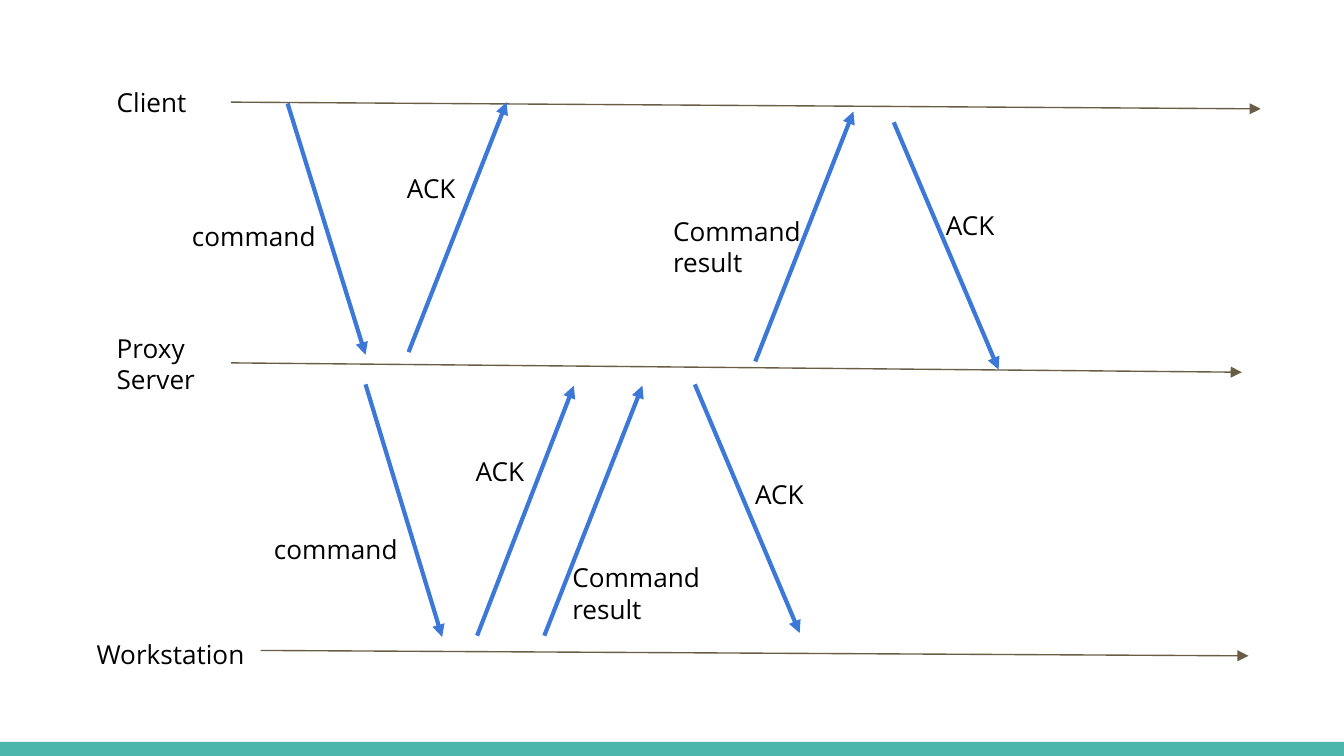
from dataclasses import dataclass

from lxml.etree import SubElement
from pptx import Presentation
from pptx.dml.color import RGBColor
from pptx.enum.shapes import MSO_CONNECTOR as Connector, MSO_SHAPE as Shape
from pptx.enum.text import MSO_ANCHOR as Anchor, MSO_AUTO_SIZE as AutoSize
from pptx.oxml.ns import qn
from pptx.util import Inches, Pt


@dataclass(frozen=True)
class Theme:
    font: str = "Open Sans"
    text_size: float = 14
    text: RGBColor = RGBColor(0x00, 0x00, 0x00)
    timeline: RGBColor = RGBColor(0x69, 0x5D, 0x46)
    timeline_width: float = 0.75
    message: RGBColor = RGBColor(0x3C, 0x78, 0xD8)
    message_width: float = 2.25
    footer: RGBColor = RGBColor(0x4D, 0xB6, 0xAC)


THEME = Theme()
SLIDE_WIDTH = 10
SLIDE_HEIGHT = SLIDE_WIDTH * 9 / 16
FOOTER_TOP = 5.52
LINE_HEIGHT, INSET = 0.23, 0.1

# Each row: text, left, top, width, number of lines shown
PARTICIPANTS = [
    ("Client", 0.77, 0.54, 0.94, 1),
    ("Proxy Server", 0.77, 2.37, 0.94, 2),
    ("Workstation", 0.62, 4.65, 1.43, 1),
]
MESSAGE_LABELS = [
    ("command", 1.33, 1.54, 1.19, 1),
    ("ACK", 2.93, 1.18, 0.94, 1),
    ("Command\nresult", 4.91, 1.5, 1.3, 2),
    ("ACK", 6.94, 1.46, 0.94, 1),
    ("command", 1.94, 3.87, 1.19, 1),
    ("ACK", 3.44, 3.29, 0.94, 1),
    ("Command\nresult", 4.16, 4.08, 1.3, 2),
    ("ACK", 5.52, 3.46, 0.94, 1),
]

# Each row: start x, start y, end x, end y
TIMELINES = [
    (1.72, 0.76, 9.38, 0.81),
    (1.72, 2.7, 9.24, 2.77),
    (1.94, 4.84, 9.29, 4.88),
]
CLIENT_PROXY_MESSAGES = [
    (2.14, 0.77, 2.72, 2.64),
    (3.04, 2.62, 3.77, 0.76),
    (5.62, 2.69, 6.35, 0.83),
    (6.65, 0.91, 7.43, 2.75),
]
PROXY_WORKSTATION_MESSAGES = [
    (2.72, 2.86, 3.29, 4.74),
    (3.55, 4.73, 4.27, 2.87),
    (4.05, 4.73, 4.78, 2.87),
    (5.17, 2.86, 5.95, 4.71),
]


def add_footer(slide):
    footer = slide.shapes.add_shape(
        Shape.RECTANGLE, 0, Inches(FOOTER_TOP),
        Inches(SLIDE_WIDTH), Inches(SLIDE_HEIGHT - FOOTER_TOP))
    footer.shadow.inherit = False
    footer.fill.solid()
    footer.fill.fore_color.rgb = THEME.footer
    footer.line.fill.background()


def add_arrow(slide, ends, color, width):
    arrow = slide.shapes.add_connector(
        Connector.STRAIGHT, *(Inches(value) for value in ends))
    arrow.line.color.rgb = color
    arrow.line.width = Pt(width)
    SubElement(arrow.line._get_or_add_ln(), qn("a:tailEnd"), type="triangle")
    SubElement(arrow._element.spPr, qn("a:effectLst"))


def add_label(slide, text, left, top, width, line_count):
    height = line_count * LINE_HEIGHT + 2 * INSET
    label = slide.shapes.add_textbox(
        Inches(left), Inches(top), Inches(width), Inches(height))
    frame = label.text_frame
    frame.word_wrap = True
    frame.auto_size = AutoSize.SHAPE_TO_FIT_TEXT
    frame.vertical_anchor = Anchor.TOP
    frame.margin_left = frame.margin_right = Inches(INSET)
    frame.margin_top = frame.margin_bottom = Inches(INSET)
    for index, line in enumerate(text.split("\n")):
        paragraph = frame.add_paragraph() if index else frame.paragraphs[0]
        run = paragraph.add_run()
        run.text = line
        run.font.name = THEME.font
        run.font.size = Pt(THEME.text_size)
        run.font.color.rgb = THEME.text


def main():
    deck = Presentation()
    deck.slide_width = Inches(SLIDE_WIDTH)
    deck.slide_height = Inches(SLIDE_HEIGHT)
    slide = deck.slides.add_slide(deck.slide_layouts[6])

    add_footer(slide)
    for ends in TIMELINES:
        add_arrow(slide, ends, THEME.timeline, THEME.timeline_width)
    for ends in CLIENT_PROXY_MESSAGES + PROXY_WORKSTATION_MESSAGES:
        add_arrow(slide, ends, THEME.message, THEME.message_width)
    for label in PARTICIPANTS + MESSAGE_LABELS:
        add_label(slide, *label)

    deck.save("out.pptx")


if __name__ == "__main__":
    main()
